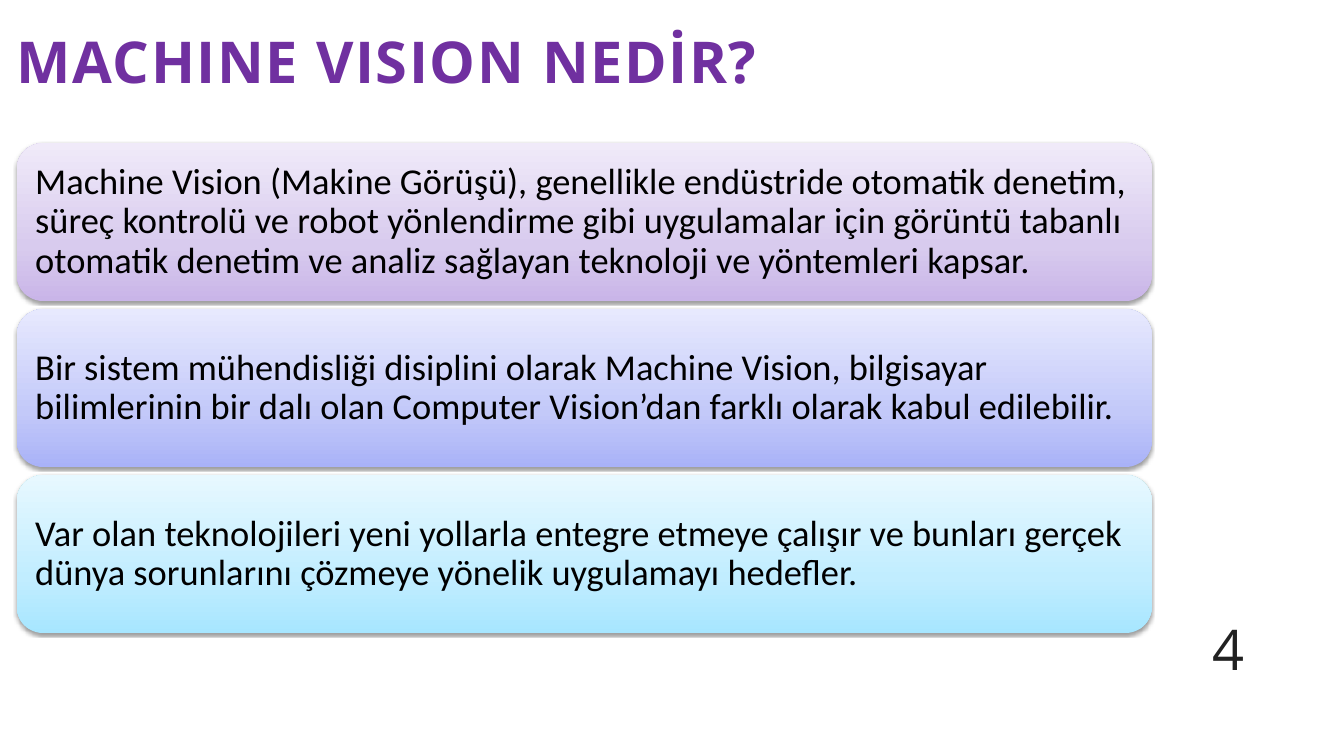
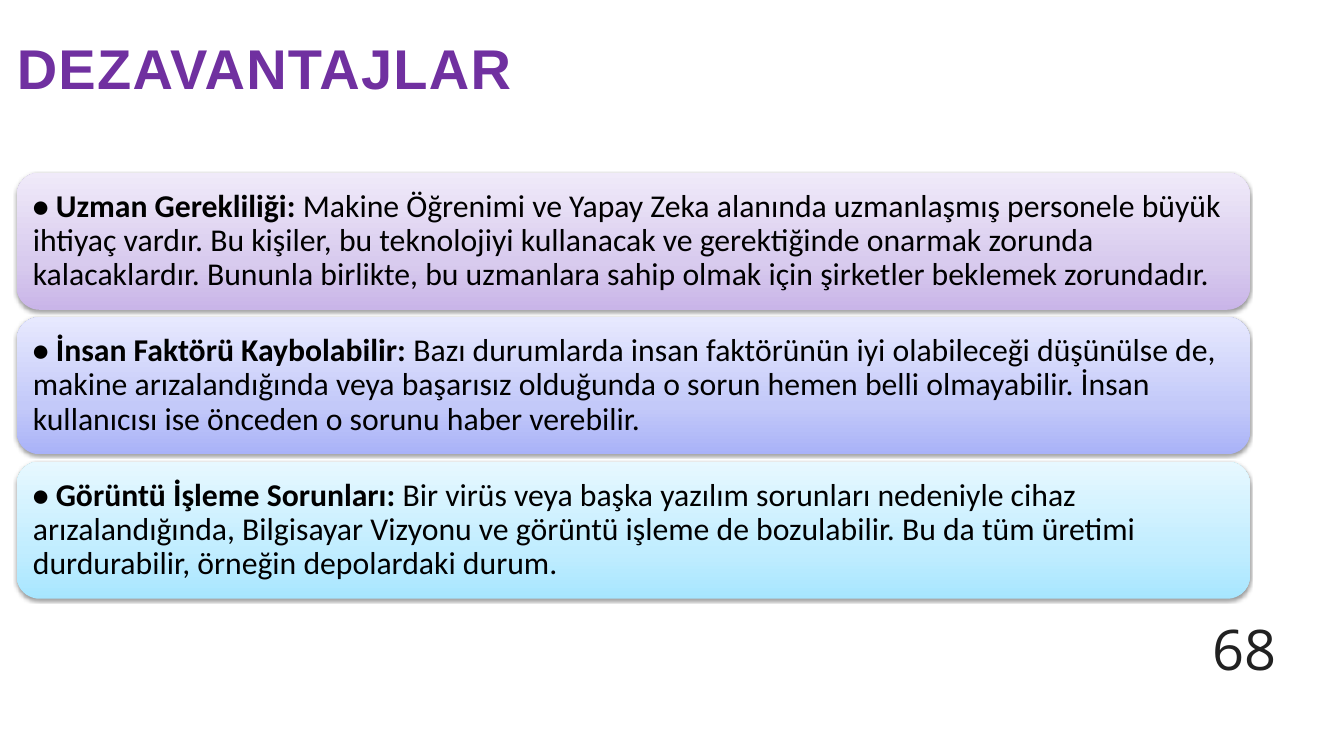
from lxml import etree
from pptx import Presentation
from pptx import util as u
from pptx.dml.color import RGBColor
from pptx.enum import shapes, text
from pptx.oxml import ns

PX = 9144
PURPLE, BLACK, GREY = "7030A0", "000000", "212121"
GRADIENTS = [
    ("C9B5E8", "D8CBEE", "F0EAF9"),
    ("A9B2F8", "C3C9F9", "E7E9FE"),
    ("A7E6FF", "C1EDFF", "E7F8FF"),
]
STOPS = (0, 35, 100)

DEFINITION = [
    ("", "Machine Vision (Makine Görüşü), genellikle endüstride otomatik denetim, "
         "süreç kontrolü ve robot yönlendirme gibi uygulamalar için görüntü tabanlı "
         "otomatik denetim ve analiz sağlayan teknoloji ve yöntemleri kapsar."),
    ("", "Bir sistem mühendisliği disiplini olarak Machine Vision, bilgisayar "
         "bilimlerinin bir dalı olan Computer Vision’dan farklı olarak kabul edilebilir."),
    ("", "Var olan teknolojileri yeni yollarla entegre etmeye çalışır ve bunları gerçek "
         "dünya sorunlarını çözmeye yönelik uygulamayı hedefler."),
]
DRAWBACKS = [
    ("• Uzman Gerekliliği: ",
     "Makine Öğrenimi ve Yapay Zeka alanında uzmanlaşmış personele büyük ihtiyaç vardır. "
     "Bu kişiler, bu teknolojiyi kullanacak ve gerektiğinde onarmak zorunda kalacaklardır. "
     "Bununla birlikte, bu uzmanlara sahip olmak için şirketler beklemek zorundadır."),
    ("• İnsan Faktörü Kaybolabilir: ",
     "Bazı durumlarda insan faktörünün iyi olabileceği düşünülse de, makine arızalandığında "
     "veya başarısız olduğunda o sorun hemen belli olmayabilir. İnsan kullanıcısı ise önceden "
     "o sorunu haber verebilir."),
    ("• Görüntü İşleme Sorunları:",
     " Bir virüs veya başka yazılım sorunları nedeniyle cihaz arızalandığında, Bilgisayar "
     "Vizyonu ve görüntü işleme de bozulabilir. Bu da tüm üretimi durdurabilir, örneğin "
     "depolardaki durum."),
]


def rgb(value):
    return RGBColor.from_string(value)


def px(*lengths):
    return [u.Emu(n * PX) for n in lengths]


def set_margins(tf, size):
    tf.margin_left = tf.margin_top = tf.margin_right = tf.margin_bottom = u.Emu(size * PX)


def style_run(r, font, size, color, bold=False):
    r.font.name = font
    r.font.size = u.Pt(size)
    r.font.bold = bold
    r.font.color.rgb = rgb(color)


def add_node(parent, tag, **attributes):
    node = etree.SubElement(parent, ns.qn(tag))
    for name, value in attributes.items():
        node.set(name, str(value))
    return node


def fill_gradient(sp, colors):
    sp.fill.gradient()
    sp.fill.gradient_angle = 90
    stops = sp.element.spPr.find(".//" + ns.qn("a:gsLst"))
    for stop in list(stops):
        stops.remove(stop)
    for position, color in zip(STOPS, colors):
        stop = add_node(stops, "a:gs", pos=position * 1000)
        add_node(stop, "a:srgbClr", val=color)


def add_shadow(sp):
    sp.shadow.inherit = False
    effects = sp.element.spPr.find(ns.qn("a:effectLst"))
    shadow = add_node(effects, "a:outerShdw", blurRad=u.Pt(3.1), dist=u.Pt(1.6),
                      dir=90 * 60000, rotWithShape=0)
    color = add_node(shadow, "a:srgbClr", val=BLACK)
    add_node(color, "a:alpha", val=38000)


def add_line_of_text(s, box, content, font, size, color, leading, bold=False):
    tf = s.shapes.add_textbox(*px(*box)).text_frame
    tf.word_wrap = True
    tf.auto_size = text.MSO_AUTO_SIZE.SHAPE_TO_FIT_TEXT
    p = tf.paragraphs[0]
    p.text = content
    p.line_spacing = u.Pt(leading)
    style_run(p.runs[0], font, size, color, bold)
    return tf


def add_title(s, box, content, font, size, leading, spacing):
    tf = add_line_of_text(s, box, content, font, size, PURPLE, leading, bold=True)
    set_margins(tf, 0)
    tf.paragraphs[0].runs[0].font._element.set("spc", str(spacing))


def add_page_number(s, number):
    add_line_of_text(s, (1794, 948, 183, 79), number, "Open Sans", 60, GREY, 44.8)


def add_card(s, box, colors, lead, body, size, margin):
    sp = s.shapes.add_shape(shapes.MSO_SHAPE.ROUNDED_RECTANGLE, *px(*box))
    fill_gradient(sp, colors)
    sp.line.fill.background()
    add_shadow(sp)
    tf = sp.text_frame
    tf.word_wrap = True
    tf.vertical_anchor = text.MSO_ANCHOR.MIDDLE
    set_margins(tf, margin)
    p = tf.paragraphs[0]
    p.alignment = text.PP_ALIGN.LEFT
    p.line_spacing = 0.9
    for content, bold in ((lead, True), (body, False)):
        if content:
            r = p.add_run()
            r.text = content
            style_run(r, "Calibri", size, BLACK, bold)


def add_cards(s, items, top, width, height, pitch, size, margin):
    for i, (colors, (lead, body)) in enumerate(zip(GRADIENTS, items)):
        add_card(s, (25, top + i * pitch, width, height), colors, lead, body, size, margin)


def main():
    prs = Presentation()
    prs.slide_width, prs.slide_height = px(2000, 1125)
    blank = prs.slide_layouts[6]

    s = prs.slides.add_slide(blank)
    add_cards(s, DEFINITION, 213, 1689, 235, 247, 39, 16)
    add_title(s, (25, 21, 1302, 114), "MACHINE VISION NEDİR?", "Open Sans", 61.8, 86.5, 170)
    add_page_number(s, "4")

    s = prs.slides.add_slide(blank)
    add_title(s, (25, 51, 1795, 104), "DEZAVANTAJLAR", "Arial", 60, 71.5, 140)
    add_cards(s, DRAWBACKS, 257, 1835, 204, 215, 34, 14)
    add_page_number(s, "68")

    prs.save("out.pptx")


if __name__ == "__main__":
    main()
